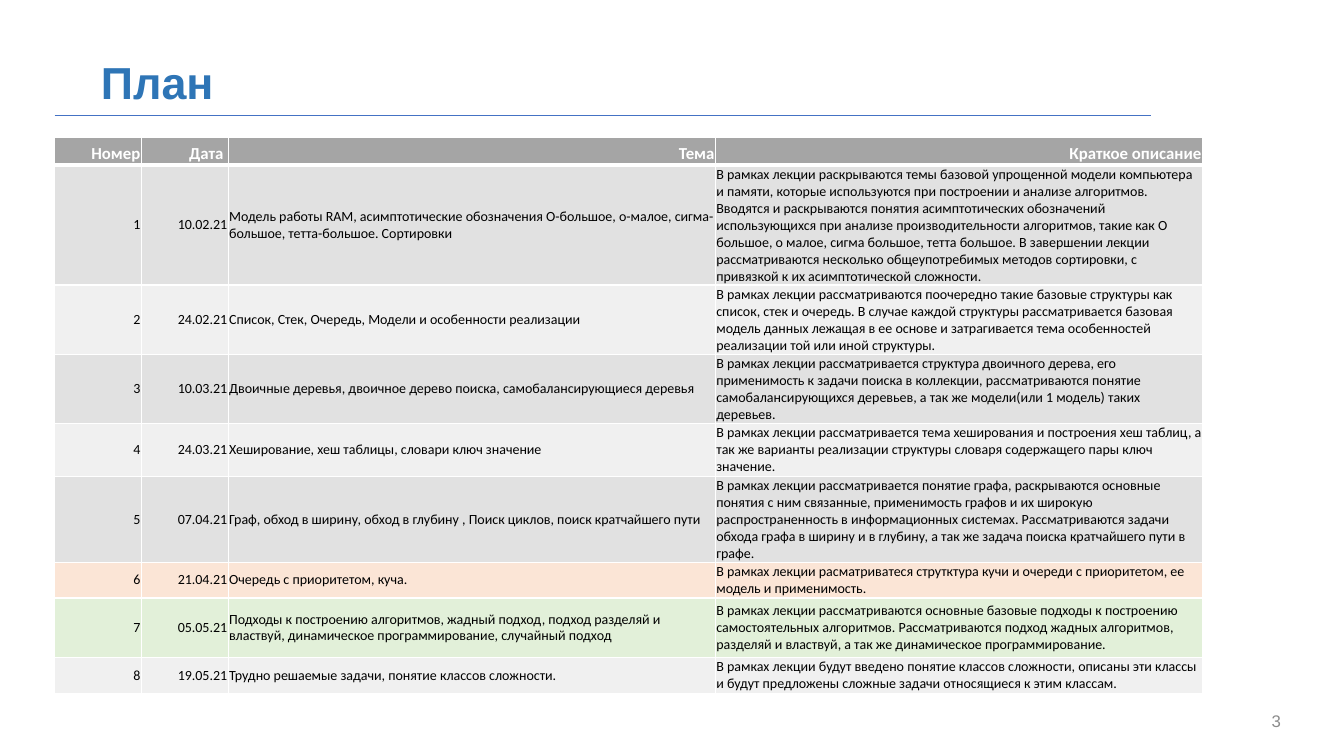
from lxml import etree
from pptx import Presentation
from pptx.dml.color import RGBColor
from pptx.enum.shapes import MSO_CONNECTOR
from pptx.enum.text import MSO_ANCHOR, PP_ALIGN
from pptx.oxml.ns import qn
from pptx.util import Pt

LEFT, RIGHT = PP_ALIGN.LEFT, PP_ALIGN.RIGHT
MIDDLE, BOTTOM = MSO_ANCHOR.MIDDLE, MSO_ANCHOR.BOTTOM
STRAIGHT = MSO_CONNECTOR.STRAIGHT


class Theme:
    rule = "4472C4"
    border = "FFFFFF"
    header_fill = "A5A5A5"
    band_fills = ("E1E1E1", "F0F0F0")
    accent_fills = {6: "FBE5D6", 7: "E2F0D9"}
    title = {"name": "Arial", "size": Pt(32), "bold": True, "color": "2E75B6"}
    number = {"name": "Arial", "size": Pt(12), "bold": False, "color": "8C8C8C"}
    header = {"name": "Calibri", "size": Pt(12), "bold": True, "color": "FFFFFF"}
    body = {"name": "Calibri", "size": Pt(10), "bold": False, "color": "000000"}


class SlideBuilder:
    def __init__(self, theme, slide):
        self.theme = theme
        self.slide = slide

    def fill_paragraph(self, paragraph, text, style, align):
        paragraph.alignment = align
        run = paragraph.add_run()
        run.text = text
        for name, value in style.items():
            if name == "color":
                run.font.color.rgb = RGBColor.from_string(value)
            else:
                setattr(run.font, name, value)

    def text(self, box, text, style, align=LEFT):
        shape = self.slide.shapes.add_textbox(*map(Pt, box))
        frame = shape.text_frame
        frame.word_wrap = True
        frame.vertical_anchor = MIDDLE
        self.fill_paragraph(frame.paragraphs[0], text, style, align)

    def line(self, start, end, width):
        connector = self.slide.shapes.add_connector(STRAIGHT, *map(Pt, start + end))
        connector.line.color.rgb = RGBColor.from_string(self.theme.rule)
        connector.line.width = Pt(width)
        etree.SubElement(connector._element.spPr, qn("a:effectLst"))

    def borders(self, cell, widths):
        properties = cell._tc.get_or_add_tcPr()
        for edge, width in widths.items():
            line = etree.SubElement(properties, qn("a:ln" + edge), w=str(Pt(width)))
            fill = etree.SubElement(line, qn("a:solidFill"))
            etree.SubElement(fill, qn("a:srgbClr"), val=self.theme.border)

    def cell(self, cell, text, style, align, anchor, fill, widths):
        settings = {"vertical_anchor": anchor}
        for side in ("left", "right", "top", "bottom"):
            settings["margin_" + side] = Pt(0.72)
        for name, value in settings.items():
            setattr(cell, name, value)
        self.borders(cell, widths)
        cell.fill.solid()
        cell.fill.fore_color.rgb = RGBColor.from_string(fill)
        self.fill_paragraph(cell.text_frame.paragraphs[0], text, style, align)

    def table(self, position, column_widths, row_heights, rows):
        size = (sum(column_widths), sum(row_heights))
        frame = self.slide.shapes.add_table(
            len(rows), len(column_widths), *map(Pt, position + size)
        )
        table = frame.table
        for column, width in zip(table.columns, column_widths):
            column.width = Pt(width)
        for row, height in zip(table.rows, row_heights):
            row.height = Pt(height)
        theme = self.theme
        for row_index, values in enumerate(rows):
            is_header = row_index == 0
            band = theme.band_fills[(row_index + 1) % 2]
            fill = theme.header_fill if is_header else theme.accent_fills.get(row_index, band)
            style = theme.header if is_header else theme.body
            anchor = BOTTOM if is_header else MIDDLE
            widths = {
                "L": 1,
                "R": 1,
                "T": 3 if row_index == 1 else 1,
                "B": 3 if is_header else 1,
            }
            for column_index, value in enumerate(values):
                align = RIGHT if is_header or column_index < 2 else LEFT
                cell = table.cell(row_index, column_index)
                self.cell(cell, value, style, align, anchor, fill, widths)


HEADINGS = ("Номер", "Дата ", "Тема", "Краткое описание")
LECTURES = (
    (
        "10.02.21",
        "Модель работы RAM, асимптотические обозначения О-большое, о-малое, "
        "сигма-большое, тетта-большое. Сортировки",
        "В рамках лекции раскрываются темы базовой упрощенной модели компьютера и памяти, "
        "которые используются при построении и анализе алгоритмов. Вводятся и раскрываются "
        "понятия асимптотических обозначений использующихся при анализе производительности "
        "алгоритмов, такие как О большое, о малое, сигма большое, тетта большое. В завершении "
        "лекции рассматриваются несколько общеупотребимых методов сортировки, с привязкой "
        "к их асимптотической сложности.",
    ),
    (
        "24.02.21",
        "Список, Стек, Очередь, Модели и особенности реализации",
        "В рамках лекции рассматриваются поочередно такие базовые структуры как список, стек "
        "и очередь. В случае каждой структуры рассматривается базовая модель данных лежащая "
        "в ее основе и затрагивается тема особенностей реализации той или иной структуры.",
    ),
    (
        "10.03.21",
        "Двоичные деревья, двоичное дерево поиска, самобалансирующиеся деревья",
        "В рамках лекции рассматривается структура двоичного дерева, его применимость к задачи "
        "поиска в коллекции, рассматриваются понятие самобалансирующихся деревьев, а так же "
        "модели(или 1 модель) таких деревьев.",
    ),
    (
        "24.03.21",
        "Хеширование, хеш таблицы, словари ключ значение",
        "В рамках лекции рассматривается тема хеширования и построения хеш таблиц, а так же "
        "варианты реализации структуры словаря содержащего пары ключ значение.",
    ),
    (
        "07.04.21",
        "Граф, обход в ширину, обход в глубину , Поиск циклов, поиск кратчайшего пути",
        "В рамках лекции рассматривается понятие графа, раскрываются основные понятия с ним "
        "связанные, применимость графов и их широкую распространенность в информационных "
        "системах. Рассматриваются задачи обхода графа в ширину и в глубину, а так же задача "
        "поиска кратчайшего пути в графе.",
    ),
    (
        "21.04.21",
        "Очередь с приоритетом, куча.",
        "В рамках лекции расматриватеся струтктура кучи и очереди с приоритетом, ее модель "
        "и применимость.",
    ),
    (
        "05.05.21",
        "Подходы к построению алгоритмов, жадный подход, подход разделяй и властвуй, "
        "динамическое программирование, случайный подход",
        "В рамках лекции рассматриваются основные базовые подходы к построению самостоятельных "
        "алгоритмов. Рассматриваются подход жадных алгоритмов, разделяй и властвуй, а так же "
        "динамическое программирование.",
    ),
    (
        "19.05.21",
        "Трудно решаемые задачи, понятие классов сложности.",
        "В рамках лекции будут введено понятие классов сложности, описаны эти классы и будут "
        "предложены сложные задачи относящиеся к этим классам.",
    ),
)


def main():
    presentation = Presentation()
    presentation.slide_width = Pt(960)
    presentation.slide_height = Pt(540)
    slide = presentation.slides.add_slide(presentation.slide_layouts[6])
    theme = Theme()
    builder = SlideBuilder(theme, slide)
    builder.text((65, 38, 608, 40), "План", theme.title)
    builder.line((39, 82.5), (822, 82.5), 0.5)
    builder.text((828, 500, 94, 29), "3", theme.number, RIGHT)
    lecture_rows = [(str(number), *lecture) for number, lecture in enumerate(LECTURES, 1)]
    builder.table(
        (39, 98),
        (62, 62, 348, 348),
        (20, 73.5, 42.5, 42.5, 32.5, 53.5, 21.5, 42.5, 21.5),
        [HEADINGS, *lecture_rows],
    )
    presentation.save("out.pptx")


if __name__ == "__main__":
    main()
